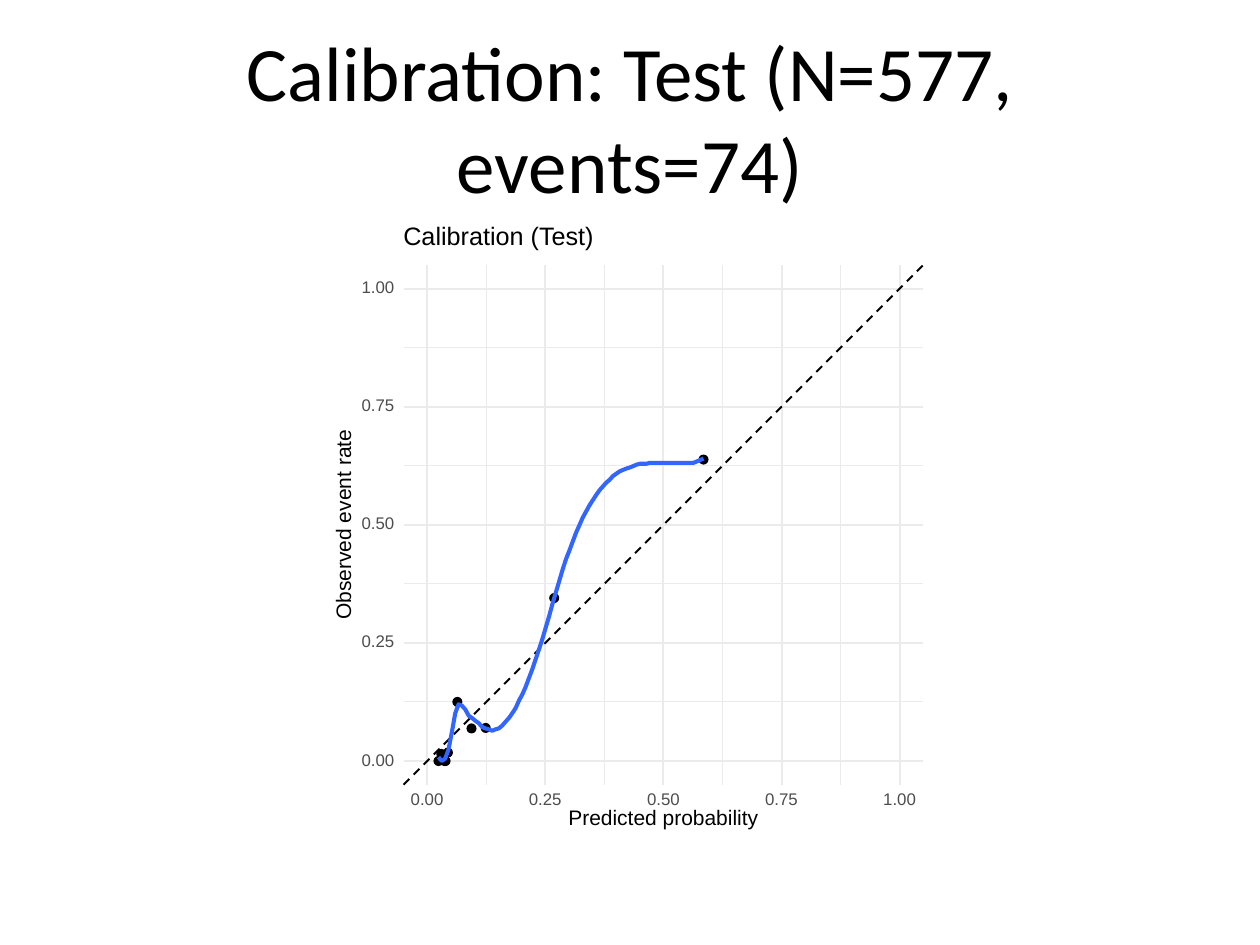
from lxml import etree
from pptx import Presentation
from pptx import util as u
from pptx.dml.color import RGBColor
from pptx.enum import dml, shapes, text
from pptx.oxml.ns import qn

Pt = u.Pt
COLORS = {"ink": "000000", "tick": "4D4D4D", "grid": "EBEBEB", "curve": "3366FF"}
RGB = {name: RGBColor.from_string(value) for name, value in COLORS.items()}

# Plot scale: both axes are in percent and share one unit length
ORIGIN_X, ORIGIN_Y, UNIT = 244.1, 434.9, 2.7
LOW, HIGH = -5, 105
MAJOR = [0, 25, 50, 75, 100]
MINOR = [12.5, 37.5, 62.5, 87.5]

# (predicted probability, observed event rate)
POINTS = [(2.4, 0), (3, 1.5), (3.7, 0), (3.9, 0), (4.4, 1.8), (6.4, 12.5),
          (9.4, 6.9), (12.4, 7), (26.9, 34.5), (58.5, 63.8)]

# Smoothed event rate at even steps from the first point to the last
SMOOTH = [0.8, 0, 0.5, 2.4, 6.1, 10.1, 12, 11.7, 10.9, 9.6, 9.1, 8.5, 8, 7.2, 6.9, 6.7,
          6.4, 6.7, 6.9, 7.5, 8.3, 9.1, 10.1, 11.2, 12.8, 14.1, 15.7, 17.6, 19.5, 21.6,
          23.7, 25.9, 28.3, 30.7, 33.3, 35.7, 38.1, 40.5, 42.7, 44.5, 46.4, 48.3, 49.9,
          51.5, 52.8, 54.1, 55.2, 56.3, 57.3, 58.1, 58.9, 59.5, 60.3, 60.8, 61.3, 61.6,
          61.9, 62.1, 62.4, 62.7] + [62.9] * 3 + [63.1] * 14 + [63.4, 63.7, 64]

prs = Presentation()
prs.slide_width, prs.slide_height = Pt(720), Pt(540)
s = prs.slides.add_slide(prs.slide_layouts[6])


def add_line(parent, x1, y1, x2, y2, color, width):
    """Draw a straight line between two points given in percent."""
    line = parent.add_connector(
        shapes.MSO_CONNECTOR.STRAIGHT,
        Pt(ORIGIN_X + UNIT * x1), Pt(ORIGIN_Y - UNIT * y1),
        Pt(ORIGIN_X + UNIT * x2), Pt(ORIGIN_Y - UNIT * y2))
    line.line.color.rgb = RGB[color]
    line.line.width = Pt(width)
    etree.SubElement(line._element.spPr, qn("a:effectLst"))
    return line


def add_label(parent, center_x, center_y, width, height, words, size, color="ink"):
    """Add a one-line text without margins around a centre in points."""
    sp = parent.add_textbox(Pt(center_x - width / 2), Pt(center_y - height / 2),
                            Pt(width), Pt(height))
    tf = sp.text_frame
    tf.word_wrap = False
    tf.vertical_anchor = text.MSO_ANCHOR.MIDDLE
    tf.margin_left = tf.margin_right = tf.margin_top = tf.margin_bottom = 0
    p = tf.paragraphs[0]
    p.line_spacing = Pt(size)
    r = p.add_run()
    r.text = words
    r.font.name, r.font.size = "Arial", Pt(size)
    r.font.color.rgb = RGB[color]
    return sp


# Slide title
title = s.shapes.add_textbox(Pt(36), Pt(21.6), Pt(648), Pt(90))
tf = title.text_frame
tf.word_wrap = True
tf.vertical_anchor = text.MSO_ANCHOR.MIDDLE
p = tf.paragraphs[0]
p.alignment = text.PP_ALIGN.CENTER
r = p.add_run()
r.text = "Calibration: Test (N=577, events=74)"
r.font.name, r.font.size = "Calibri", Pt(44)
r.font.color.rgb = RGB["ink"]

plot = s.shapes.add_group_shape().shapes

# Grid and diagonal of perfect calibration
for values, width in ((MINOR, 0.58), (MAJOR, 1.16)):
    for v in values:
        add_line(plot, LOW, v, HIGH, v, "grid", width)
    for v in values:
        add_line(plot, v, LOW, v, HIGH, "grid", width)
diagonal = add_line(plot, LOW, LOW, HIGH, HIGH, "ink", 1.16)
diagonal.line.dash_style = dml.MSO_LINE.DASH

# Observed points
DOT = 5
for x, y in POINTS:
    dot = plot.add_shape(shapes.MSO_SHAPE.OVAL,
                         Pt(ORIGIN_X + UNIT * x - DOT / 2),
                         Pt(ORIGIN_Y - UNIT * y - DOT / 2), Pt(DOT), Pt(DOT))
    dot.shadow.inherit = False
    dot.fill.solid()
    dot.fill.fore_color.rgb = RGB["ink"]
    dot.line.color.rgb = RGB["ink"]
    dot.line.width = Pt(0.77)

# Smoothed curve
first, last = POINTS[0][0], POINTS[-1][0]
step = (last - first) / (len(SMOOTH) - 1)
track = [(Pt(ORIGIN_X + UNIT * (first + i * step)), Pt(ORIGIN_Y - UNIT * y))
         for i, y in enumerate(SMOOTH)]
builder = plot.build_freeform(*track[0])
builder.add_line_segments(track[1:], close=False)
curve = builder.convert_to_shape()
curve.shadow.inherit = False
curve.fill.background()
curve.line.color.rgb = RGB["curve"]
curve.line.width = Pt(2.33)

# Tick labels
for v in MAJOR:
    add_label(plot, 216, ORIGIN_Y - UNIT * v, 18.7, 7.2, f"{v / 100:.2f}", 9.6, "tick")
for v in MAJOR:
    add_label(plot, ORIGIN_X + UNIT * v, 457.2, 18.7, 7.2, f"{v / 100:.2f}", 9.6, "tick")

# Axis and plot titles
middle = UNIT * 50
add_label(plot, ORIGIN_X + middle, 468.4, 108.7, 10.8, "Predicted probability", 12)
y_title = add_label(plot, 197, ORIGIN_Y - middle, 108.7, 8.6, "Observed event rate", 12)
y_title.rotation = 270
add_label(plot, 285.6, 135.7, 110.2, 13.7, "Calibration (Test)", 14.4)

prs.save("out.pptx")
